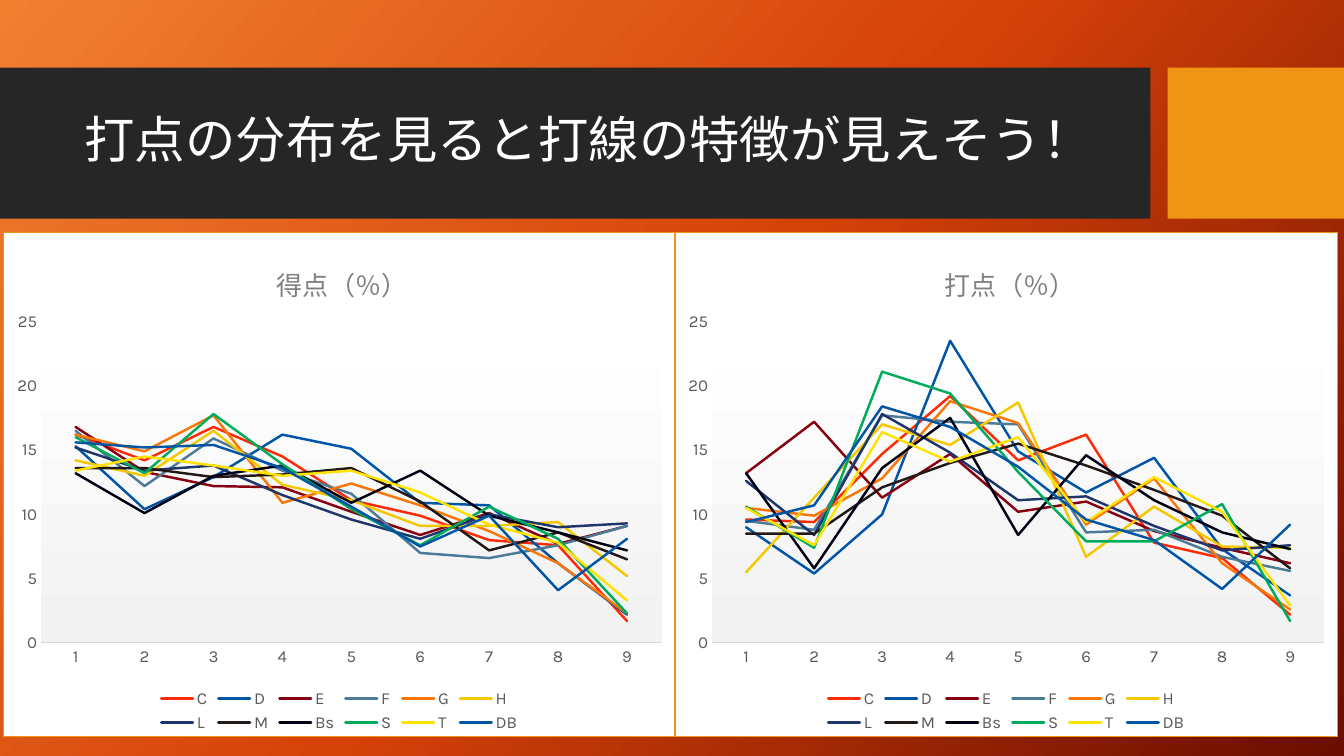
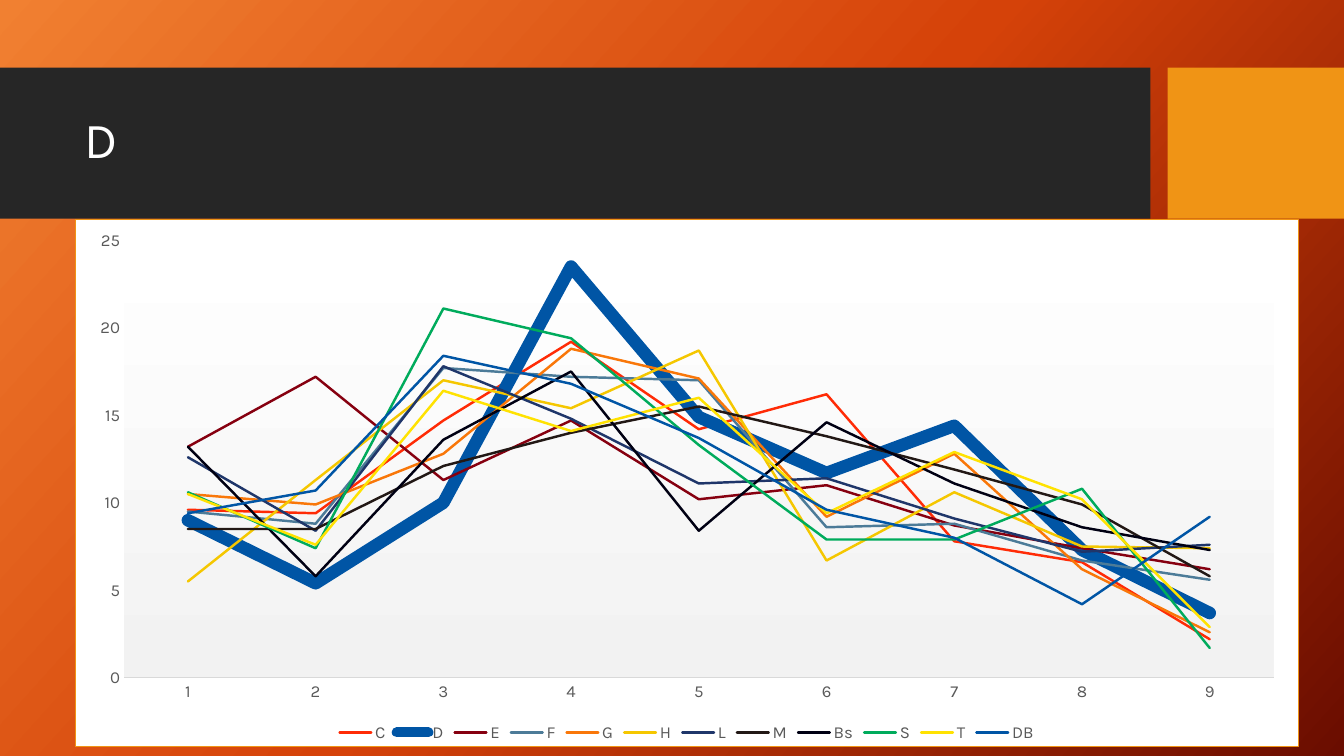
from dataclasses import dataclass

from lxml import etree
from pptx import Presentation
from pptx import util as u
from pptx.chart import data as chart_data
from pptx.dml import color
from pptx.enum import chart as chart_enum
from pptx.enum import shapes, text
from pptx.oxml import ns


@dataclass(frozen=True)
class Theme:
    font: str = "Karla"
    band: str = "262626"
    accent: str = "F09415"
    white: str = "FFFFFF"
    chart_text: str = "595959"
    chart_title: str = "808080"
    axis: str = "D9D9D9"
    title_size: float = 36
    chart_title_size: float = 18.6
    label_size: float = 12
    hairline: float = 0.75
    series_line: float = 1.75
    highlight_line: float = 9
    background: tuple = ((0, "F18031"), (50, "D54209"), (100, "6A0D00"))
    background_angle: float = 42
    plot: tuple = ((0, "FFFFFF"), (100, "F2F2F2"))
    plot_angle: float = 90


THEME = Theme()

TEAM_COLORS = {
    "C": "FF2B06", "D": "0055A5", "E": "860010", "F": "4C7B98",
    "G": "F97709", "H": "F5C700", "L": "1F366A", "M": "221815",
    "Bs": "000013", "S": "00AB5C", "T": "FFE201", "DB": "0055A5",
}

BATTING_ORDER = [str(number) for number in range(1, 10)]

RUNS = {
    "C": (16.2, 14.2, 16.8, 14.5, 11.1, 9.9, 8, 7.6, 1.7),
    "D": (15.3, 10.4, 12.9, 16.2, 15.1, 10.9, 10.7, 6.2, 2.2),
    "E": (16.8, 13.3, 12.2, 12.1, 10.2, 8.4, 10.1, 7.7, 9.1),
    "F": (16.5, 12.2, 15.9, 13.4, 11.6, 7, 6.6, 7.6, 9.1),
    "G": (16.2, 14.9, 17.7, 10.9, 12.4, 10.7, 8.7, 6.2, 2.3),
    "H": (14.2, 13, 16.5, 12.3, 11.1, 9.1, 9.1, 9.4, 5.2),
    "L": (15.2, 13.4, 13.8, 11.5, 9.6, 8.1, 10, 9, 9.3),
    "M": (13.6, 13.6, 12.9, 13.1, 13.6, 11, 7.2, 8.6, 6.5),
    "Bs": (13.2, 10.1, 13, 13.8, 10.9, 13.4, 9.9, 8.6, 7.2),
    "S": (16, 13.2, 17.8, 13.9, 10.4, 7.6, 10.6, 8.1, 2.3),
    "T": (13.4, 14.5, 13.8, 13, 13.4, 11.7, 9.2, 7.8, 3.3),
    "DB": (15.6, 15.2, 15.4, 13.6, 10.6, 7.5, 9.9, 4.1, 8.1),
}

RUNS_BATTED_IN = {
    "C": (9.6, 9.4, 14.7, 19.2, 14.2, 16.2, 7.8, 6.6, 2.2),
    "D": (9, 5.4, 10, 23.5, 14.9, 11.7, 14.4, 7.3, 3.7),
    "E": (13.2, 17.2, 11.3, 14.7, 10.2, 11, 8.7, 7.4, 6.2),
    "F": (9.5, 8.8, 17.7, 17.2, 17, 8.6, 8.8, 6.7, 5.6),
    "G": (10.5, 9.9, 12.8, 18.8, 17.1, 9.2, 12.8, 6.2, 2.6),
    "H": (5.5, 11.3, 17, 15.4, 18.7, 6.7, 10.6, 7.5, 7.4),
    "L": (12.6, 8.4, 17.8, 14.8, 11.1, 11.4, 9.1, 7.2, 7.6),
    "M": (8.5, 8.5, 12.1, 14, 15.5, 13.8, 11.9, 9.9, 5.8),
    "Bs": (13.2, 5.8, 13.6, 17.5, 8.4, 14.6, 11.1, 8.6, 7.3),
    "S": (10.6, 7.4, 21.1, 19.4, 13.3, 7.9, 7.9, 10.8, 1.7),
    "T": (10.5, 7.6, 16.4, 14.1, 16, 9.4, 12.9, 10.2, 2.9),
    "DB": (9.4, 10.7, 18.4, 16.8, 13.7, 9.6, 8, 4.2, 9.2),
}


def rgb(value):
    return color.RGBColor.from_string(value)


def inches(*lengths):
    return [u.Inches(length) for length in lengths]


def add_element(parent, tag, **attributes):
    element = etree.SubElement(parent, ns.qn(tag))
    for name, value in attributes.items():
        element.set(name, str(value))
    return element


def add_gradient(parent, stops, angle):
    gradient = add_element(parent, "a:gradFill", rotWithShape=1)
    stop_list = add_element(gradient, "a:gsLst")
    for position, value in stops:
        stop = add_element(stop_list, "a:gs", pos=position * 1000)
        add_element(stop, "a:srgbClr", val=value)
    add_element(gradient, "a:lin", ang=angle * 60000, scaled=0)
    return gradient


def add_solid(parent, value):
    add_element(add_element(parent, "a:solidFill"), "a:srgbClr", val=value)


def format_font(font, size, value):
    font.name = THEME.font
    font.size = u.Pt(size)
    font.bold = False
    font.color.rgb = rgb(value)


def write_text(frame, content, *, size, value, line_spacing=None):
    paragraph = frame.paragraphs[0]
    run = paragraph.add_run()
    run.text = content
    paragraph.line_spacing = line_spacing
    format_font(run.font, size, value)


def set_background(master):
    master.background.fill.solid()
    properties = master.element.find(".//" + ns.qn("p:bgPr"))
    gradient = add_gradient(properties, THEME.background, THEME.background_angle)
    properties.replace(properties[0], gradient)


def add_band(slide, left, width, value):
    shape = slide.shapes.add_shape(
        shapes.MSO_SHAPE.RECTANGLE, *inches(left, 0.67, width, 1.5))
    shape.shadow.inherit = False
    shape.fill.solid()
    shape.fill.fore_color.rgb = rgb(value)
    shape.line.fill.background()


def add_titled_slide(presentation, title):
    slide = presentation.slides.add_slide(presentation.slide_layouts[6])
    add_band(slide, 0, 11.41, THEME.band)
    add_band(slide, 11.58, 1.75, THEME.accent)
    frame = slide.shapes.add_textbox(*inches(0.74, 0.82, 10.51, 1.18)).text_frame
    frame.word_wrap = True
    frame.vertical_anchor = text.MSO_ANCHOR.MIDDLE
    write_text(frame, title, size=THEME.title_size, value=THEME.white,
               line_spacing=0.9)
    return slide


def place(parent, index, target=None, **fractions):
    for existing in parent.findall(ns.qn("c:layout")):
        parent.remove(existing)
    layout = etree.Element(ns.qn("c:layout"))
    manual = add_element(layout, "c:manualLayout")
    if target:
        add_element(manual, "c:layoutTarget", val=target)
    for axis in ("x", "y"):
        add_element(manual, f"c:{axis}Mode", val="edge")
    for name, fraction in fractions.items():
        add_element(manual, f"c:{name}", val=fraction)
    parent.insert(index, layout)


def paint_chart(chart):
    frame = etree.Element(ns.qn("c:spPr"))
    add_solid(frame, THEME.white)
    add_solid(add_element(frame, "a:ln", w=u.Pt(THEME.hairline)), THEME.accent)
    chart.element.find(ns.qn("c:chart")).addnext(frame)
    plot_area = chart.element.find(".//" + ns.qn("c:plotArea"))
    for existing in plot_area.findall(ns.qn("c:spPr")):
        plot_area.remove(existing)
    add_gradient(add_element(plot_area, "c:spPr"), THEME.plot, THEME.plot_angle)
    return plot_area


def format_axes(chart):
    for axis in (chart.category_axis, chart.value_axis):
        axis.has_major_gridlines = False
        axis.major_tick_mark = chart_enum.XL_TICK_MARK.NONE
        axis.minor_tick_mark = chart_enum.XL_TICK_MARK.NONE
        format_font(axis.tick_labels.font, THEME.label_size, THEME.chart_text)
    chart.category_axis.format.line.color.rgb = rgb(THEME.axis)
    chart.category_axis.format.line.width = u.Pt(THEME.hairline)
    chart.value_axis.format.line.fill.background()
    chart.value_axis.minimum_scale = 0
    chart.value_axis.maximum_scale = 25
    chart.value_axis.major_unit = 5


def format_series(plot, highlight):
    plot.vary_by_categories = False
    for series in plot.series:
        line = series.format.line
        line.color.rgb = rgb(TEAM_COLORS[series.name])
        line.width = u.Pt(
            THEME.highlight_line if series.name == highlight else THEME.series_line)
        outline = series.format.line._get_or_add_ln()
        outline.set("cap", "rnd")
        add_element(outline, "a:round")
        series.smooth = False
        series.marker.style = chart_enum.XL_MARKER_STYLE.NONE


def add_line_chart(slide, box, values, plot_box, title=None, highlight=None):
    table = chart_data.CategoryChartData(number_format="General")
    table.categories = BATTING_ORDER
    for team, shares in values.items():
        table.add_series(team, shares)
    chart = slide.shapes.add_chart(
        chart_enum.XL_CHART_TYPE.LINE, *inches(*box), table).chart
    format_font(chart.font, THEME.label_size, THEME.chart_text)
    chart.has_title = title is not None
    if title:
        write_text(chart.chart_title.text_frame, title,
                   size=THEME.chart_title_size, value=THEME.chart_title)
        place(chart.element.find(".//" + ns.qn("c:title")), 1, x=0.4, y=0.05)
    chart.has_legend = True
    chart.legend.position = chart_enum.XL_LEGEND_POSITION.BOTTOM
    chart.legend.include_in_layout = False
    format_font(chart.legend.font, THEME.label_size, THEME.chart_text)
    format_axes(chart)
    format_series(chart.plots[0], highlight)
    place(paint_chart(chart), 0, "inner", **dict(zip("xywh", plot_box)))


def main():
    presentation = Presentation()
    presentation.slide_width, presentation.slide_height = inches(13.33, 7.5)
    set_background(presentation.slide_master)

    slide = add_titled_slide(presentation, "打点の分布を見ると打線の特徴が見えそう！")
    for left, width, values, title in (
        (0.03, 6.67, RUNS, "得点（％）"),
        (6.69, 6.58, RUNS_BATTED_IN, "打点（％）"),
    ):
        add_line_chart(slide, (left, 2.3, width, 5.01), values,
                       (0.056, 0.177, 0.924, 0.638), title=title)

    slide = add_titled_slide(presentation, "D")
    add_line_chart(slide, (0.74, 2.17, 12.14, 5.24), RUNS_BATTED_IN,
                   (0.04, 0.04, 0.94, 0.83), highlight="D")

    presentation.save("out.pptx")


if __name__ == "__main__":
    main()
